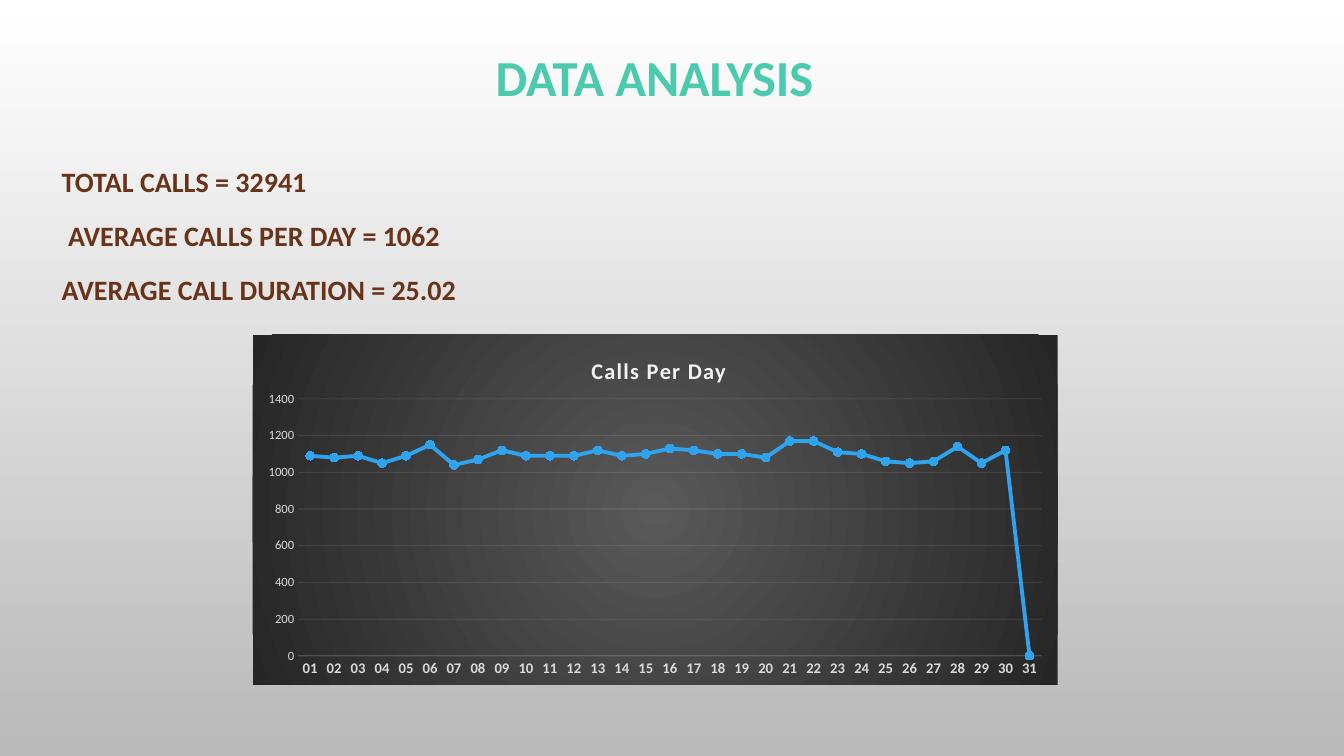
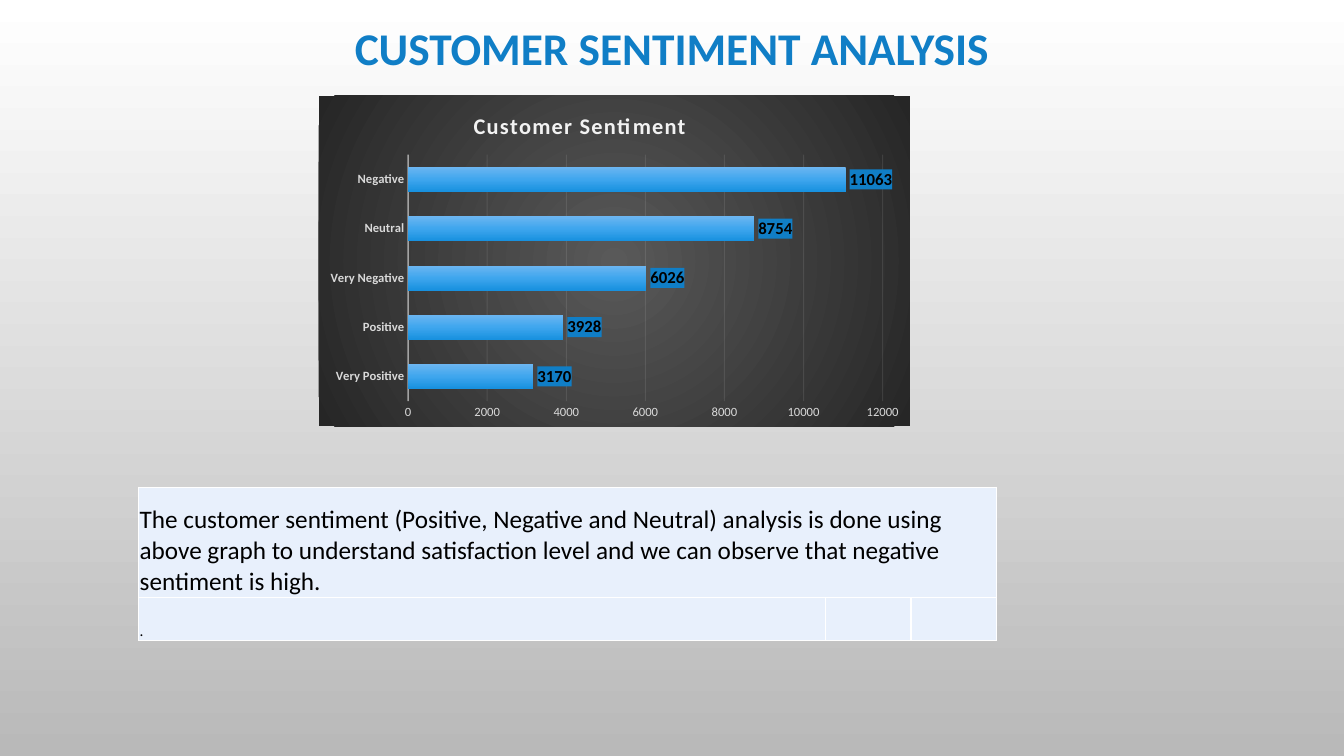
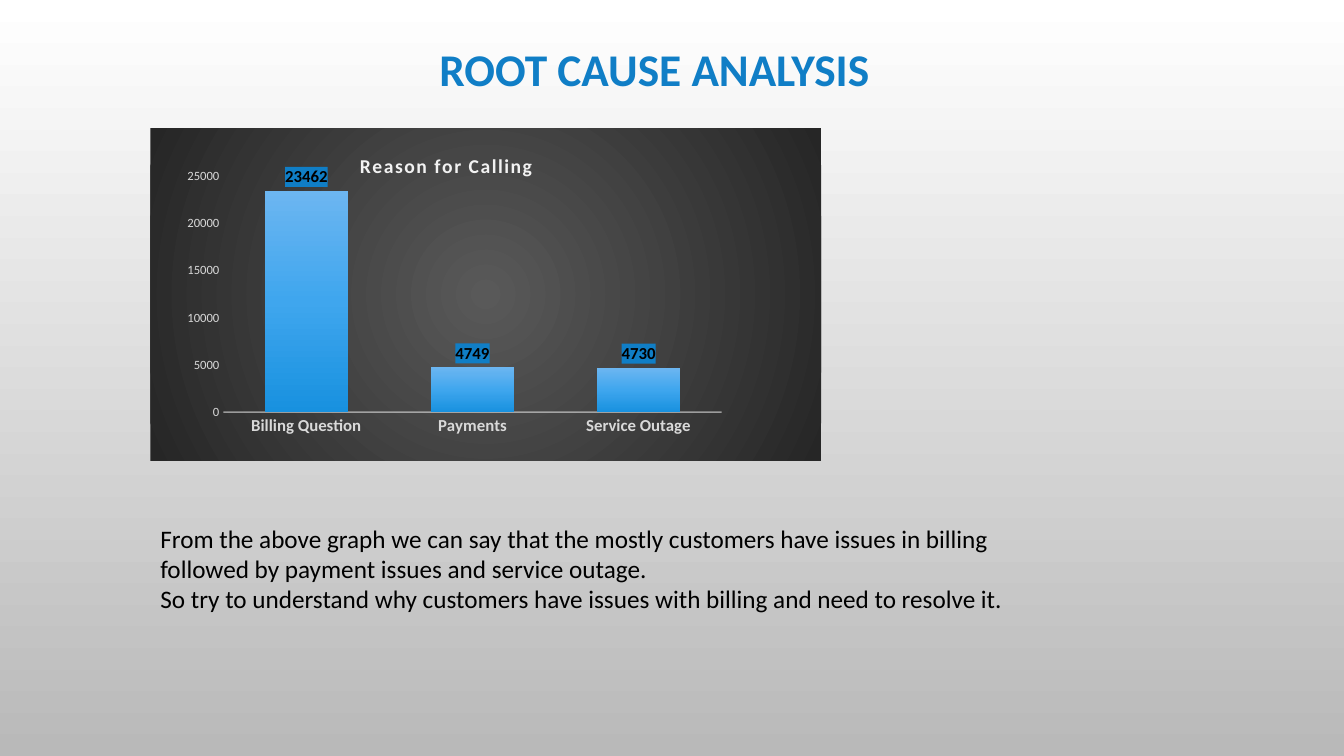
import pptx
import pptx.chart.data
import pptx.dml.color
import pptx.enum.chart
import pptx.enum.text
import pptx.oxml
import pptx.oxml.ns
import pptx.util

Pt = pptx.util.Pt
Kind = pptx.enum.chart.XL_CHART_TYPE
Tick = pptx.enum.chart.XL_TICK_MARK
Align = pptx.enum.text.PP_ALIGN
Anchor = pptx.enum.text.MSO_ANCHOR
qn = pptx.oxml.ns.qn

FONT = "Calibri"
BLACK, BLUE, TEAL, BROWN = "000000", "107EC6", "4BCAAD", "683319"
PALE, GREY, WHITE, CELL = "F2F2F2", "D9D9D9", "FFFFFF", "E8F0FC"
LINE, MARK = "2FA3EE", "3FA6EE"
PAGE = (WHITE, "B9B9B9")
PANEL = ("595959", "262626")
BAR = ("6CB6F1", MARK, "1891DF")


def rgb(code):
    return pptx.dml.color.RGBColor.from_string(code)


def xml(text):
    return pptx.oxml.parse_xml(
        text.replace(">", " " + pptx.oxml.ns.nsdecls("a", "c") + ">", 1))


def solid(code):
    return f'<a:solidFill><a:srgbClr val="{code}"/></a:solidFill>'


def grad(codes, shade):
    """Gradient with evenly spaced stops; shade is its direction element."""
    step = 100000 // (len(codes) - 1)
    stops = "".join(f'<a:gs pos="{i * step}"><a:srgbClr val="{code}"/></a:gs>'
                    for i, code in enumerate(codes))
    return f'<a:gradFill><a:gsLst>{stops}</a:gsLst>{shade}</a:gradFill>'


DOWN = '<a:lin ang="5400000" scaled="0"/>'
ROUND = ('<a:path path="circle"><a:fillToRect l="50000" t="50000" '
         'r="50000" b="50000"/></a:path>')


def style(font, size, color, bold=False):
    font.name, font.size, font.bold = FONT, Pt(size), bold
    font.color.rgb = rgb(color)


def write(para, text, size=18, color=BLACK, bold=False, align=None,
          gap=None, before=0, left=0):
    """Fill one paragraph; gap is line spacing, left an indent."""
    run = para.add_run()
    run.text = text
    style(run.font, size, color, bold)
    if align is not None:
        para.alignment = align
    if gap:
        para.line_spacing = gap
    if before:
        para.space_before = Pt(before)
    if left:
        para._p.get_or_add_pPr().set("marL", str(Pt(left)))
    return run


def faint(line, width, alpha):
    line.color.rgb = rgb(PALE)
    line.width = Pt(width)
    tint = line._get_or_add_ln().find(".//" + qn("a:srgbClr"))
    tint.append(xml(f'<a:alpha val="{alpha * 1000}"></a:alpha>'))


def place(node, index, size, box, inner=False):
    """Set a manual layout, given in points inside the chart."""
    for old in node.findall(qn("c:layout")):
        node.remove(old)
    target = '<c:layoutTarget val="inner"/>' if inner else ""
    names = "xywh"[:len(box)]
    modes = "".join(f'<c:{n}Mode val="edge"/>' for n in "xy")
    parts = "".join(f'<c:{n} val="{v / size[i % 2]:.4f}"/>'
                    for i, (n, v) in enumerate(zip(names, box)))
    node.insert(index, xml("<c:layout><c:manualLayout>" + target + modes
                           + parts + "</c:manualLayout></c:layout>"))


class Deck:
    def __init__(self):
        self.file = pptx.Presentation()
        self.file.slide_width = Pt(960)
        self.file.slide_height = Pt(540)
        self.slide = None

    def page(self):
        self.slide = self.file.slides.add_slide(self.file.slide_layouts[6])
        fill = self.slide.background.fill
        fill.gradient()
        fill.gradient_angle = 270
        for stop, code in zip(fill.gradient_stops, PAGE):
            stop.color.rgb = rgb(code)

    def text(self, box, lines, anchor=Anchor.TOP, **look):
        """Add a text box; a line is a string or a (string, format) pair."""
        frame = self.slide.shapes.add_textbox(*map(Pt, box)).text_frame
        frame.word_wrap = True
        frame.vertical_anchor = anchor
        for i, line in enumerate(lines):
            words, extra = (line, {}) if isinstance(line, str) else line
            form = {**look, **extra}
            if i == 0:
                form.pop("before", None)
            para = frame.add_paragraph() if i else frame.paragraphs[0]
            write(para, words, **form)

    def title(self, text, mid, top, size=32.4, color=BLUE):
        self.text((mid - 400, top, 800, 50), [text], Anchor.MIDDLE,
                  size=size, color=color, bold=True, align=Align.CENTER,
                  gap=0.9)

    def chart(self, kind, box, name, head, plot, cats, vals, top, step,
              size=16, label=9, axis=(1, 54), grid=True):
        """Add a dark chart; head and plot are places inside it."""
        data = pptx.chart.data.CategoryChartData()
        data.categories = cats
        data.add_series("Series 1", vals)
        chart = self.slide.shapes.add_chart(kind, *map(Pt, box), data).chart
        style(chart.font, 10, BLACK)
        chart.has_legend = False
        space = chart._chartSpace
        space.find(qn("c:txPr")).addprevious(xml(
            f"<c:spPr>{grad(PANEL, ROUND)}<a:ln><a:noFill/></a:ln></c:spPr>"))

        chart.has_title = True
        para = chart.chart_title.text_frame.paragraphs[0]
        run = write(para, name, size=size, color=PALE, bold=True)
        run._r.get_or_add_rPr().set("spc", "100")
        place(chart.chart_title._element, 1, box[2:], head)
        place(space.chart.plotArea, 0, box[2:], plot, True)

        cat, val = chart.category_axis, chart.value_axis
        for item in (cat, val):
            item.major_tick_mark = item.minor_tick_mark = Tick.NONE
        style(cat.tick_labels.font, label, GREY, True)
        style(val.tick_labels.font, 9, GREY)
        faint(cat.format.line, *axis)
        val.format.line.fill.background()
        val.minimum_scale, val.maximum_scale, val.major_unit = 0, top, step
        val.has_major_gridlines = grid
        if grid:
            faint(val.major_gridlines.format.line, 0.75, 10)

        group = chart.plots[0]
        group.vary_by_categories = False
        return group

    def bars(self, *args, **look):
        group = self.chart(*args, **look)
        group.gap_width = 100
        group.series[0]._element.get_or_add_spPr().insert(
            0, xml(grad(BAR, DOWN)))
        labels = group.series[0].data_labels
        labels.show_value = True
        labels.position = pptx.enum.chart.XL_LABEL_POSITION.OUTSIDE_END
        style(labels.font, 12, BLACK, True)
        labels._element.find(qn("c:txPr")).addprevious(
            xml(f"<c:spPr>{solid(BLUE)}</c:spPr>"))

    def curve(self, *args, **look):
        row = self.chart(*args, **look).series[0]
        row.smooth = False
        row.format.line.color.rgb = rgb(LINE)
        row.format.line.width = Pt(2.75)
        row.marker.style = pptx.enum.chart.XL_MARKER_STYLE.CIRCLE
        row.marker.size = 6
        for part in (row.marker.format.fill, row.marker.format.line.fill):
            part.solid()
            part.fore_color.rgb = rgb(MARK)

    def table(self, box, cols, rows, cells):
        """Add a table whose first row is one merged cell."""
        grid = self.slide.shapes.add_table(
            len(rows), len(cols), *map(Pt, box)).table
        grid.first_row = grid.horz_banding = False
        for col, width in zip(grid.columns, cols):
            col.width = Pt(width)
        for row, height in zip(grid.rows, rows):
            row.height = Pt(height)
        for cell in grid.iter_cells():
            cell.fill.solid()
            cell.fill.fore_color.rgb = rgb(CELL)
            cell.vertical_anchor = Anchor.BOTTOM
            cell.margin_left = cell.margin_right = cell.margin_top = Pt(0.75)
            cell.margin_bottom = 0
            for i, side in enumerate("LRTB"):
                cell._tc.tcPr.insert(i, xml(
                    f'<a:ln{side} w="{Pt(1)}">{solid(WHITE)}</a:ln{side}>'))
        grid.cell(0, 0).merge(grid.cell(0, len(cols) - 1))
        for i, (words, size) in enumerate(cells):
            write(grid.cell(i, 0).text_frame.paragraphs[0], words, size=size)


def main():
    deck = Deck()

    deck.page()
    deck.title("DATA ANALYSIS", 467.5, 32, size=36, color=TEAL)
    deck.text((37, 109, 890, 120),
              ["TOTAL CALLS = 32941",
               ("AVERAGE CALLS PER DAY = 1062", {"left": 4.5}),
               "AVERAGE CALL DURATION = 25.02"],
              size=20, color=BROWN, bold=True, gap=1.2, before=10)
    calls = [1090, 1080, 1090, 1050, 1090, 1150, 1040, 1070, 1120, 1090,
             1090, 1090, 1120, 1090, 1100, 1130, 1120, 1100, 1100, 1080,
             1170, 1170, 1110, 1100, 1060, 1050, 1060, 1140, 1050, 1120, 0]
    days = [f"{day:02}" for day in range(1, len(calls) + 1)]
    deck.curve(Kind.LINE_MARKERS_STACKED, (180.5, 239, 575, 250),
               "Calls Per Day", (239, 12), (32.5, 46, 531, 183.5),
               days, calls, 1400, 200, label=10.5, axis=(0.75, 10))

    deck.page()
    deck.title("CUSTOMER SENTIMENT ANALYSIS", 480, 11)
    deck.bars(Kind.BAR_CLUSTERED, (227.5, 68.5, 422.5, 236),
              "Customer Sentiment", (108, 8), (64, 42, 339, 176),
              ["Very Positive", "Positive", "Very Negative", "Neutral",
               "Negative"],
              [3170, 3928, 6026, 8754, 11063], 12000, 2000)
    deck.table((99, 348, 613, 109.5), (490.5, 61.25, 61.25), (78.5, 31),
               [("The customer sentiment (Positive, Negative and Neutral) "
                 "analysis is done using above graph to understand "
                 "satisfaction level and we can observe that negative "
                 "sentiment is high.", 18), (".", 11)])

    deck.page()
    deck.title("ROOT CAUSE ANALYSIS", 467.5, 26)
    deck.bars(Kind.COLUMN_CLUSTERED, (107.5, 91.5, 479, 237.5),
              "Reason for Calling", (147, 15), (52, 34.5, 356, 168.5),
              ["Billing Question", "Payments", "Service Outage"],
              [23462, 4749, 4730], 25000, 5000,
              size=14, label=12, grid=False)
    deck.text((107.5, 370, 626, 73),
              ["From the above graph we can say that the mostly customers "
               "have issues in billing",
               "followed by payment issues and service outage.",
               "So try to understand why customers have issues with billing "
               "and need to resolve it."])

    deck.file.save("out.pptx")


if __name__ == "__main__":
    main()
